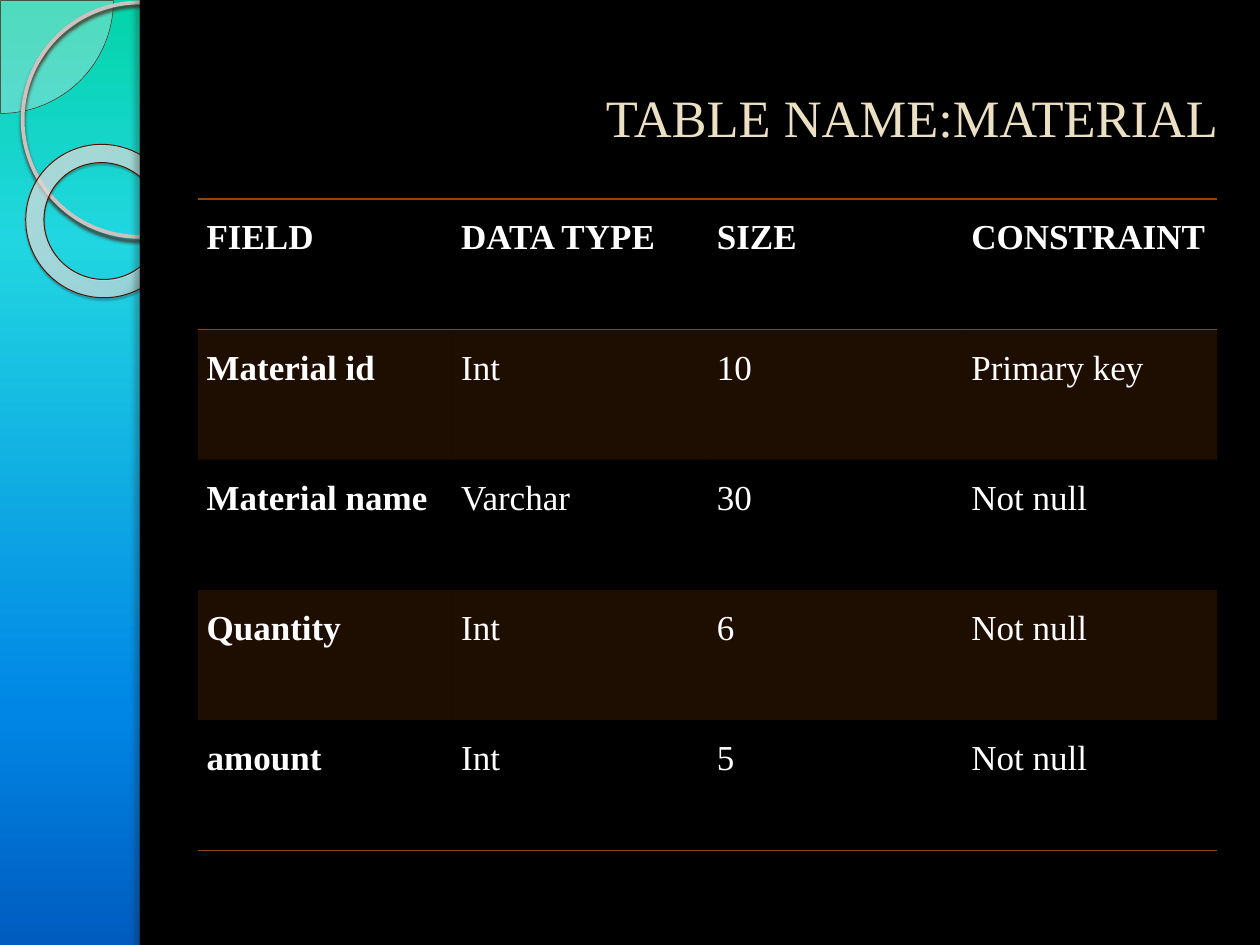
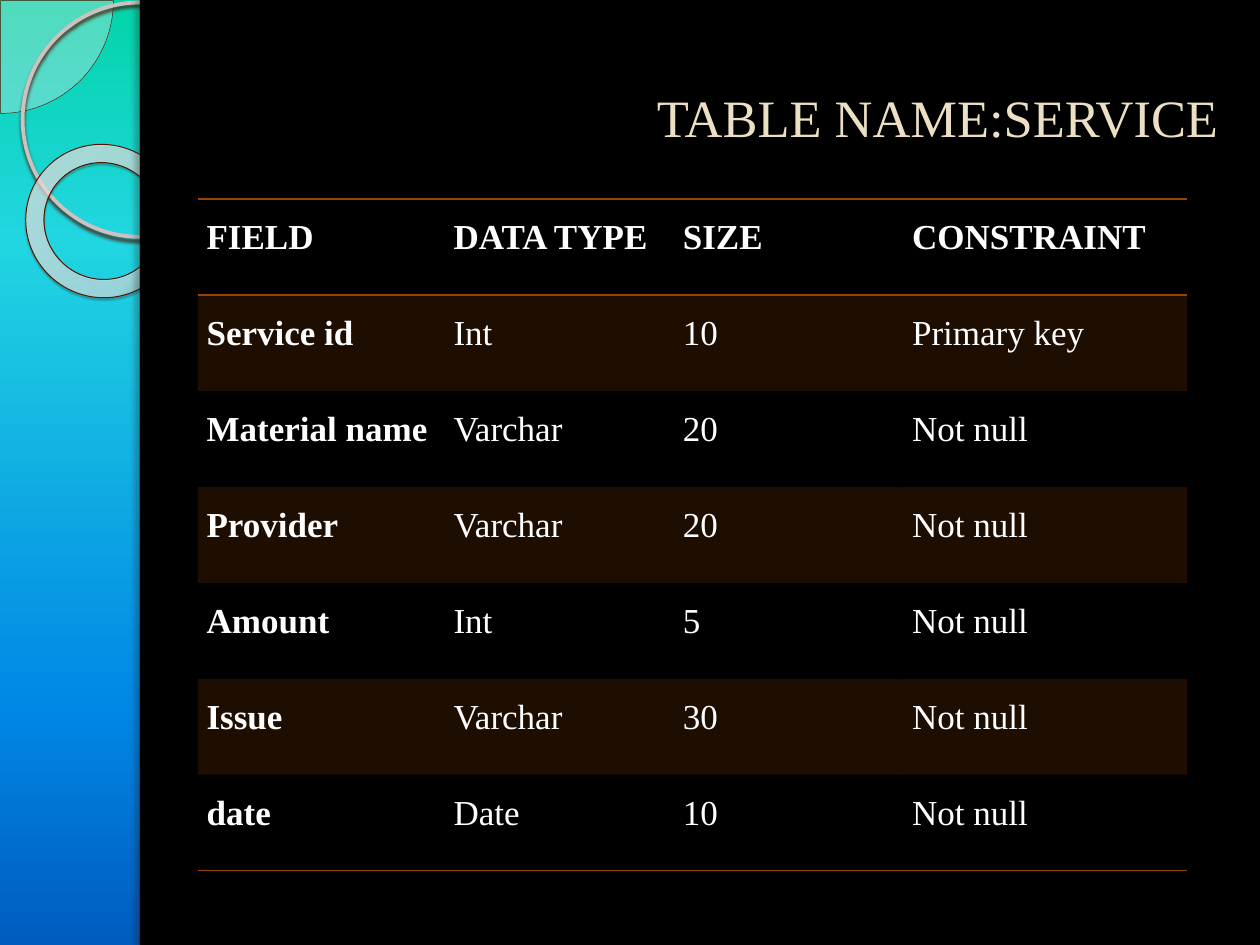
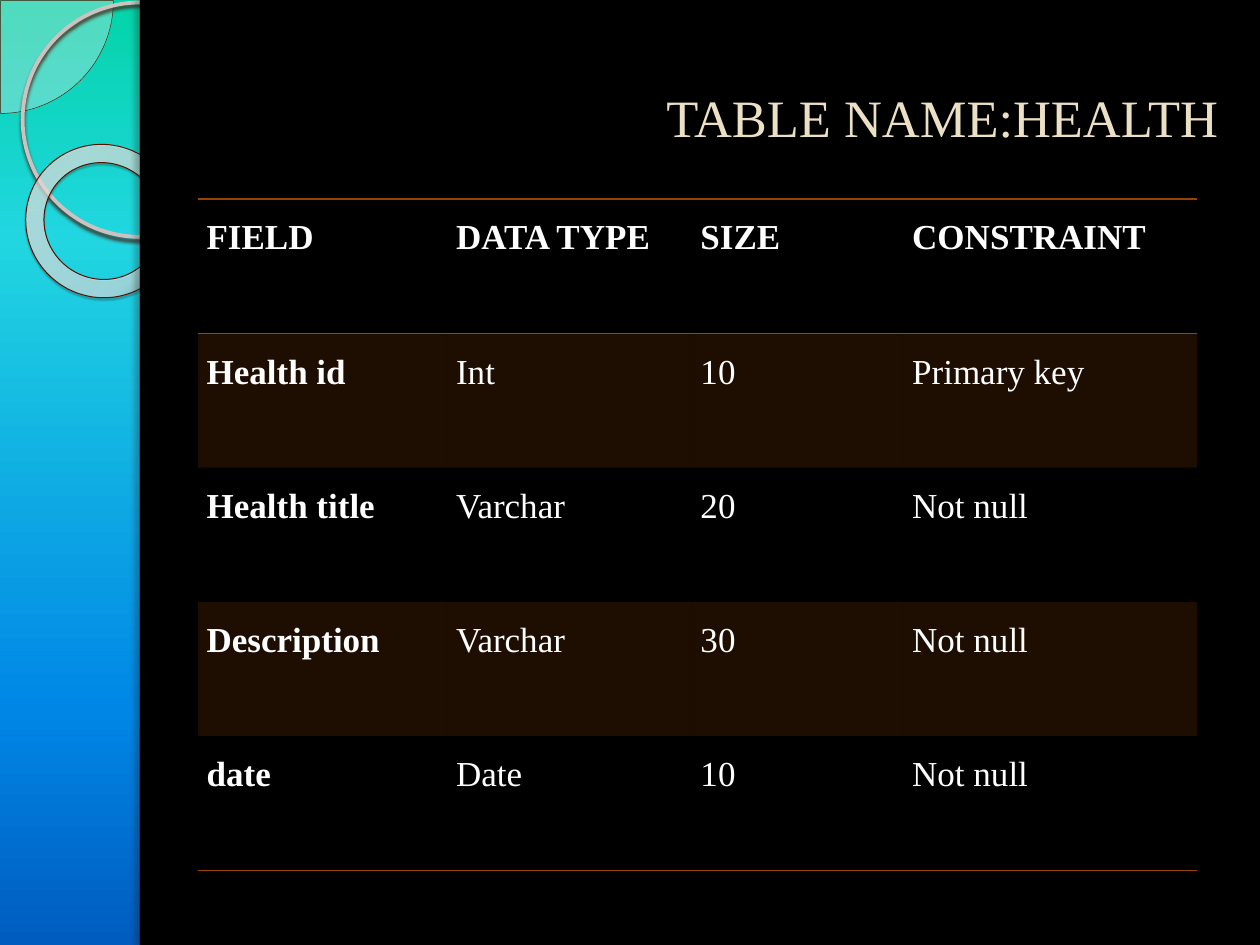
from pptx import Presentation
from pptx import util as u
from pptx.dml.color import RGBColor
from pptx.enum import shapes, text
from pptx.oxml import parse_xml
from pptx.oxml.ns import nsdecls, qn

FONT = "Times New Roman"
COLORS = {
    "black": "000000", "white": "FFFFFF", "title": "ECE0C4", "rust": "964305",
    "pale": "ECEAE9", "pie line": "591502", "ring line": "CEC2C0",
    "donut line": "561200", "ring shadow": "44170B",
    "donut shadow": "260901", "edge shadow": "29130D",
}
# Gradient stops: position, colour and opacity in percent
SKY = [(0, "03D4A8", 50), (25, "21D6E0", 100), (75, "0087E6", 100), (100, "005CBF", 100)]
GLASS = [(0, "F4F2F2", 70), (70, "F9F8F8", 55), (100, "5E1400", 60)]
SKY_DIRECTION = '<a:lin {} ang="5400000" scaled="0"/>'
GLASS_DIRECTION = ('<a:path {} path="circle"><a:fillToRect l="-408000" t="-50000" '
                   'r="508000" b="150000"/></a:path>')

NO_GRID_STYLE = "{2D5ABB26-0587-4C30-8999-92F81FD0307C}"
HEADINGS = ("FIELD", "DATA TYPE", "SIZE", "CONSTRAINT")
LEFT = 1.57
TABLE_TOP = 1.58
PANEL_LEFT = 1.11

SCHEMAS = [
    {"name": "MATERIAL", "widths": (2.02, 2.03, 2.02, 2.02), "height": 5.17, "fields": [
        ("Material id", "Int", "10", "Primary key"),
        ("Material name", "Varchar", "30", "Not null"),
        ("Quantity", "Int", "6", "Not null"),
        ("amount", "Int", "5", "Not null")]},
    {"name": "SERVICE", "widths": (1.96, 1.82, 1.82, 2.25), "height": 5.33, "fields": [
        ("Service id", "Int", "10", "Primary key"),
        ("Material name", "Varchar", "20", "Not null"),
        ("Provider", "Varchar", "20", "Not null"),
        ("Amount", "Int", "5", "Not null"),
        ("Issue", "Varchar", "30", "Not null"),
        ("date", "Date", "10", "Not null")]},
    {"name": "HEALTH", "widths": (1.98, 1.94, 1.68, 2.33), "height": 5.33, "fields": [
        ("Health id", "Int", "10", "Primary key"),
        ("Health title", "Varchar", "20", "Not null"),
        ("Description", "Varchar", "30", "Not null"),
        ("date", "Date", "10", "Not null")]},
]


def rgb(name):
    return RGBColor.from_string(COLORS[name])


def xml(template):
    return parse_xml(template.format(nsdecls("a")))


def apply(target, values):
    for key, value in values.items():
        setattr(target, key, value)


def set_solid(fill, owner, color, opacity=100):
    fill.solid()
    fill.fore_color.rgb = rgb(color)
    if opacity < 100:
        tint = owner.find(f"{qn('a:solidFill')}/{qn('a:srgbClr')}")
        tint.append(xml(f'<a:alpha {{}} val="{opacity * 1000}"/>'))


def set_gradient(fill, owner, stops, direction):
    fill.gradient()
    gradient = owner.find(f".//{qn('a:gradFill')}")
    for child in list(gradient):
        gradient.remove(child)
    marks = "".join(
        f'<a:gs pos="{pos * 1000}"><a:srgbClr val="{color}">'
        f'<a:alpha val="{opacity * 1000}"/></a:srgbClr></a:gs>'
        for pos, color, opacity in stops)
    gradient.append(xml("<a:gsLst {}>" + marks + "</a:gsLst>"))
    gradient.append(xml(direction))


class Deck:
    def __init__(self):
        self.prs = Presentation()
        self.prs.slide_width, self.prs.slide_height = u.Inches(10), u.Inches(7.5)
        self.slide = None

    def new_slide(self):
        self.slide = self.prs.slides.add_slide(self.prs.slide_layouts[6])
        set_gradient(self.slide.background.fill, self.slide._element, SKY, SKY_DIRECTION)
        self.side_band()

    def shape(self, kind, box, fill=None, opacity=100, line=None, shadow=None,
              adjustments=(), rotation=0):
        shape = self.slide.shapes.add_shape(kind, *map(u.Inches, box))
        shape.shadow.inherit = False
        shape.rotation = rotation
        for index, value in enumerate(adjustments):
            shape.adjustments[index] = value
        props = shape._element.spPr
        if fill == "glass":
            set_gradient(shape.fill, props, GLASS, GLASS_DIRECTION)
        elif fill:
            set_solid(shape.fill, props, fill, opacity)
        else:
            shape.fill.background()
        if line:
            color, width = line
            shape.line.color.rgb = rgb(color)
            shape.line.width = u.Pt(width)
        else:
            shape.line.fill.background()
        if shadow:
            color, strength, blur, distance, angle = shadow
            props.find(qn("a:effectLst")).append(xml(
                f'<a:outerShdw {{}} blurRad="{u.Pt(blur)}" dist="{u.Pt(distance)}" '
                f'dir="{angle * 60000}" algn="tl" rotWithShape="0">'
                f'<a:srgbClr val="{COLORS[color]}"><a:alpha val="{strength * 1000}"/>'
                '</a:srgbClr></a:outerShdw>'))

    def side_band(self):
        kinds = shapes.MSO_SHAPE
        # Circles on the gradient strip
        self.shape(kinds.PIE, (-0.89, -0.89, 1.79, 1.79), "pale", 33,
                   line=("pie line", 0.25), adjustments=(0, 54.02))
        self.shape(kinds.OVAL, (0.18, 0.02, 1.86, 1.86), line=("ring line", 2.15),
                   shadow=("ring shadow", 85, 2, 2, 90))
        self.shape(kinds.DONUT, (0.2, 1.15, 1.23, 1.21), "glass",
                   line=("donut line", 0.58), shadow=("donut shadow", 35, 1, 1.2, 75),
                   adjustments=(0.12,), rotation=38.6)
        # Black panel and its shaded edge
        self.shape(kinds.RECTANGLE, (PANEL_LEFT, 0, 10 - PANEL_LEFT, 7.5), "black")
        self.shape(kinds.RECTANGLE, (PANEL_LEFT, 0, 0.08, 7.5), "black",
                   shadow=("edge shadow", 25, 3, 3, 180))

    def put_text(self, frame, words, size, color, bold=False, **layout):
        paragraph = frame.paragraphs[0]
        apply(paragraph, layout)
        run = paragraph.add_run()
        run.text = words
        apply(run.font, {"name": FONT, "size": u.Pt(size), "bold": bold})
        run.font.color.rgb = rgb(color)

    def title(self, words):
        heading = self.slide.shapes.add_textbox(*map(u.Inches, (LEFT, 0.3, 8.2, 1.25)))
        frame = heading.text_frame
        apply(frame, {"word_wrap": True, "vertical_anchor": text.MSO_ANCHOR.MIDDLE})
        self.put_text(frame, words, 30, "title", alignment=text.PP_ALIGN.RIGHT)

    def table(self, rows, widths, height):
        fields = self.slide.shapes.add_table(
            len(rows), len(widths), u.Inches(LEFT), u.Inches(TABLE_TOP),
            u.Inches(sum(widths)), u.Inches(height)).table
        apply(fields, {"first_row": False, "horz_banding": False})
        fields._tbl.tblPr.find(qn("a:tableStyleId")).text = NO_GRID_STYLE
        for column, width in zip(fields.columns, widths):
            column.width = u.Inches(width)
        for r, row in enumerate(rows):
            fields.rows[r].height = u.Inches(height / len(rows))
            sides = ("T", "B") if r == 0 else ("B",) if r == len(rows) - 1 else ()
            for c, words in enumerate(row):
                self.cell(fields.cell(r, c), words, bold=r == 0 or c == 0,
                          banded=r % 2 == 1, sides=sides)

    def cell(self, cell, words, bold, banded, sides):
        apply(cell, {"margin_left": u.Inches(0.07), "margin_right": u.Inches(0.07),
                     "margin_top": 0, "margin_bottom": 0})
        self.put_text(cell.text_frame, words, 20, "white", bold,
                      line_spacing=1.5, space_after=u.Pt(10))
        props = cell._tc.get_or_add_tcPr()
        if banded:
            set_solid(cell.fill, props, "rust", 20)
        else:
            cell.fill.background()
        for index, side in enumerate(sides):
            props.insert(index, xml(
                f'<a:ln{side} {{}} w="{u.Pt(1)}"><a:solidFill>'
                f'<a:srgbClr val="{COLORS["rust"]}"/></a:solidFill></a:ln{side}>'))


def main():
    deck = Deck()
    for schema in SCHEMAS:
        deck.new_slide()
        deck.title(f"TABLE NAME:{schema['name']}")
        deck.table([HEADINGS, *schema["fields"]], schema["widths"], schema["height"])
    deck.prs.save("out.pptx")


if __name__ == "__main__":
    main()
